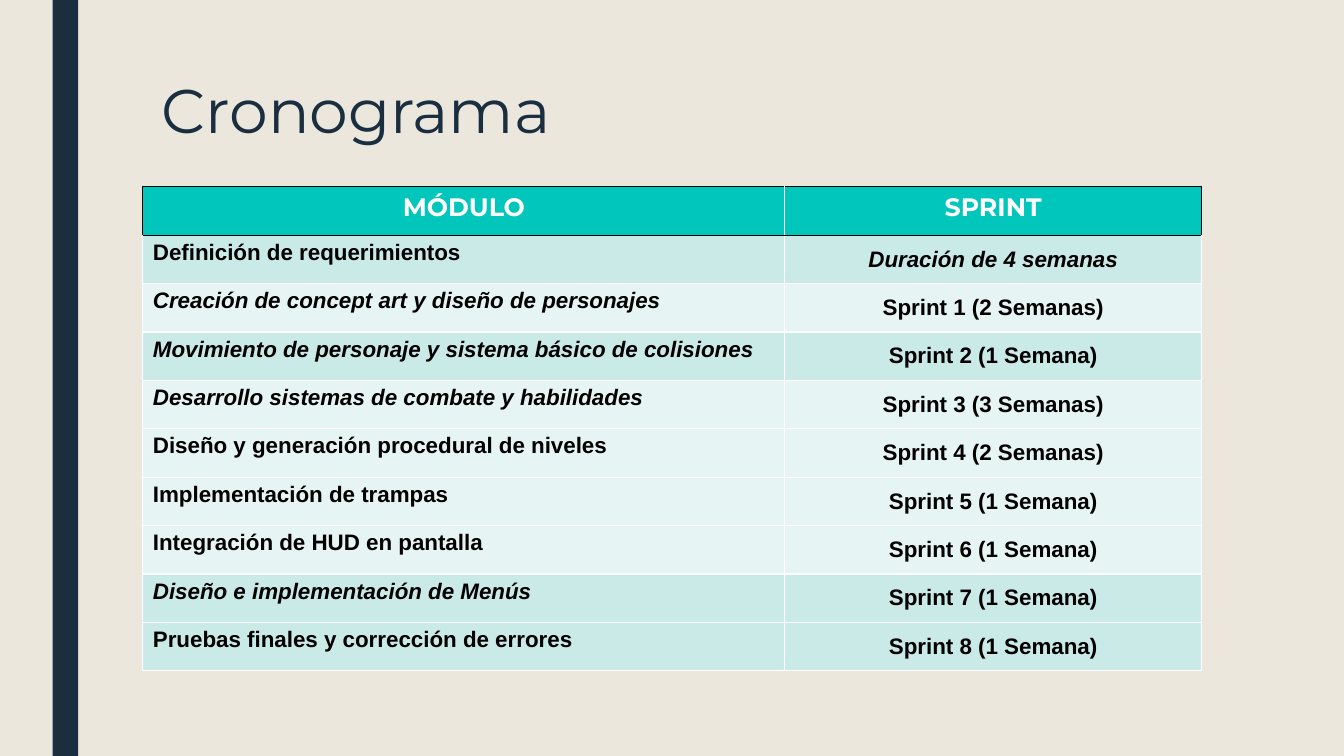
"""Builds the project schedule slide: a title and a table of modules and sprints."""
from dataclasses import dataclass

from lxml.etree import SubElement
from pptx import Presentation
from pptx.dml.color import RGBColor
from pptx.enum.shapes import MSO_SHAPE
from pptx.enum.text import MSO_ANCHOR, PP_ALIGN
from pptx.oxml.ns import qn
from pptx.util import Cm, Pt


@dataclass(frozen=True)
class Theme:
    background: str = "EBE7DD"
    navy: str = "1A2E40"
    teal: str = "00C6BB"
    band_dark: str = "CAEAE7"
    band_light: str = "E6F5F3"
    white: str = "FFFFFF"
    black: str = "000000"
    heading_font: str = "Montserrat"
    body_font: str = "Arial"
    title_size: int = 44
    header_size: int = 18
    body_size: int = 16


theme = Theme()


def style_run(r, font, size, color, bold=False, italic=False):
    r.font.name = font
    r.font.size = Pt(size)
    r.font.bold = bold
    r.font.italic = italic
    r.font.color.rgb = RGBColor.from_string(color)


def add_border(cell, side, color, width):
    ln = SubElement(cell._tc.get_or_add_tcPr(), qn(f"a:ln{side}"), w=str(Pt(width)))
    fill = SubElement(ln, qn("a:solidFill"))
    SubElement(fill, qn("a:srgbClr"), val=color)


prs = Presentation()
prs.slide_width, prs.slide_height = Cm(33.87), Cm(19.05)
s = prs.slides.add_slide(prs.slide_layouts[6])
s.background.fill.solid()
s.background.fill.fore_color.rgb = RGBColor.from_string(theme.background)

sp = s.shapes.add_shape(MSO_SHAPE.RECTANGLE, Cm(1.33), 0, Cm(0.64), prs.slide_height)
sp.shadow.inherit = False
sp.fill.solid()
sp.fill.fore_color.rgb = RGBColor.from_string(theme.navy)
sp.line.fill.background()

sp = s.shapes.add_textbox(Cm(3.82), Cm(1.91), Cm(14.48), Cm(3.1))
tf = sp.text_frame
tf.word_wrap = True
tf.text = "Cronograma"
p = tf.paragraphs[0]
p.line_spacing = 0.89
style_run(p.runs[0], theme.heading_font, theme.title_size, theme.navy)

dark, light = theme.band_dark, theme.band_light
rows = [
    ("MÓDULO", "SPRINT", theme.teal, False, False),
    ("Definición de requerimientos", "Duración de 4 semanas", dark, False, True),
    ("Creación de concept art y diseño de personajes", "Sprint 1 (2 Semanas)", light, True, False),
    ("Movimiento de personaje y sistema básico de colisiones", "Sprint 2 (1 Semana)", dark, True, False),
    ("Desarrollo sistemas de combate y habilidades", "Sprint 3 (3 Semanas)", light, True, False),
    ("Diseño y generación procedural de niveles", "Sprint 4 (2 Semanas)", light, False, False),
    ("Implementación de trampas", "Sprint 5 (1 Semana)", light, False, False),
    ("Integración de HUD en pantalla", "Sprint 6 (1 Semana)", light, False, False),
    ("Diseño e implementación de Menús", "Sprint 7 (1 Semana)", dark, True, False),
    ("Pruebas finales y corrección de errores", "Sprint 8 (1 Semana)", dark, False, False),
]
col_widths = [Cm(16.18), Cm(10.5)]
table_height = Cm(12.19)

sp = s.shapes.add_table(len(rows), 2, Cm(3.6), Cm(4.71), sum(col_widths), table_height)
table = sp.table
table.first_row = table.horz_banding = False
for column, width in zip(table.columns, col_widths):
    column.width = width

for i, (module, sprint, fill, *italics) in enumerate(rows):
    table.rows[i].height = table_height // len(rows)
    header = i == 0
    for j, text in enumerate((module, sprint)):
        cell = table.cell(i, j)
        black_sides = {"T", "B", "LR"[j]} if header else {"T"} if i == 1 else set()
        for side in "LRTB":
            if side in black_sides:
                add_border(cell, side, theme.black, 0.75)
            else:
                add_border(cell, side, theme.white, 1)
        cell.fill.solid()
        cell.fill.fore_color.rgb = RGBColor.from_string(fill)
        cell.vertical_anchor = MSO_ANCHOR.MIDDLE if j and not header else MSO_ANCHOR.TOP
        cell.text_frame.text = text
        p = cell.text_frame.paragraphs[0]
        p.alignment = PP_ALIGN.CENTER if header or j else PP_ALIGN.LEFT
        r = p.runs[0]
        if header:
            style_run(r, theme.heading_font, theme.header_size, theme.white, bold=True)
        else:
            style_run(r, theme.body_font, theme.body_size, theme.black, bold=True, italic=italics[j])

prs.save("out.pptx")
